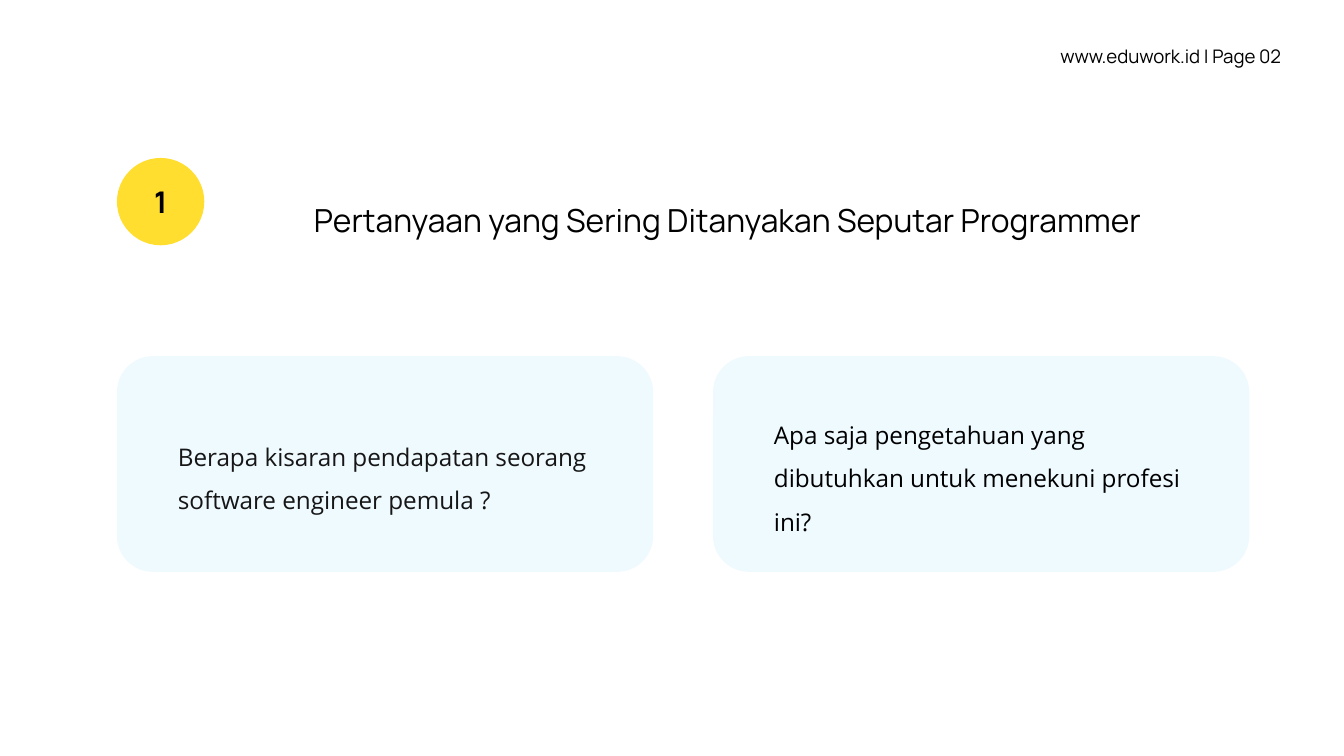
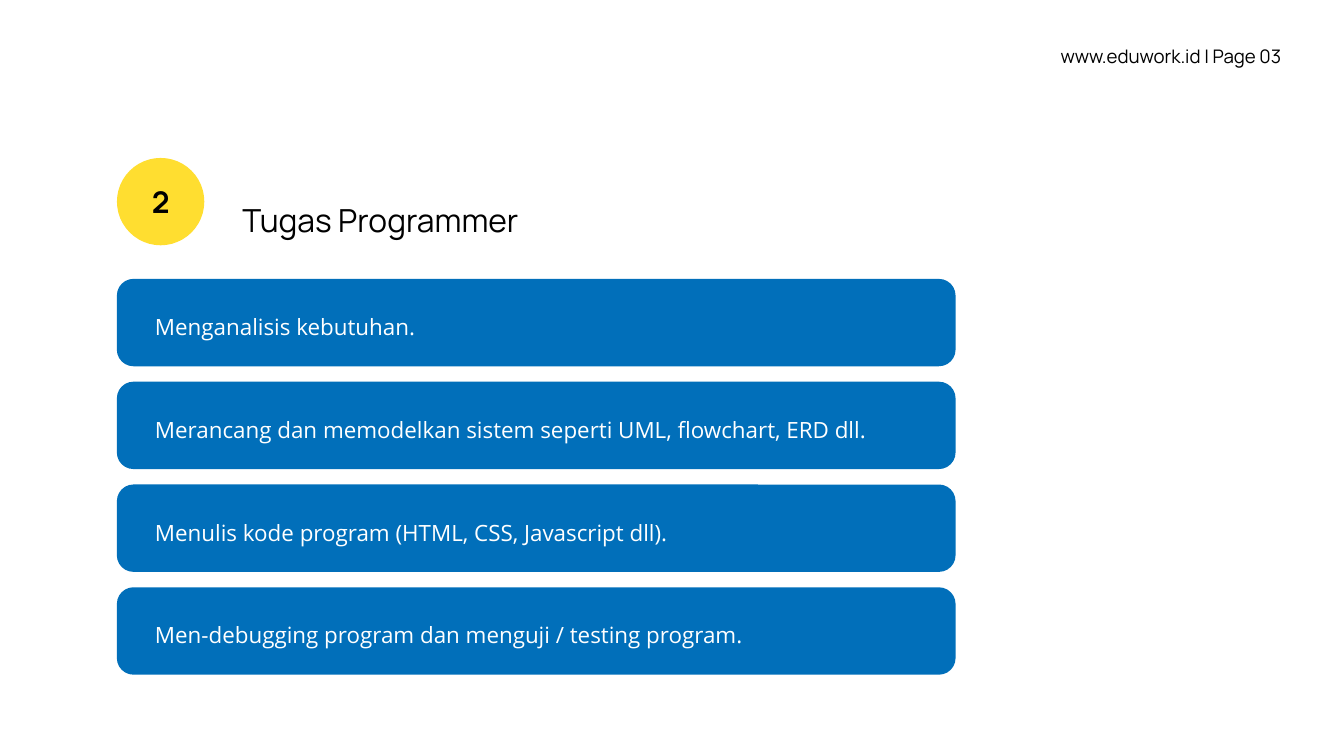
from pptx import Presentation
from pptx.dml.color import RGBColor
from pptx.enum.shapes import MSO_SHAPE
from pptx.enum.text import MSO_ANCHOR, MSO_AUTO_SIZE, PP_ALIGN
from pptx.oxml.ns import qn
from pptx.util import Pt
from lxml import etree

PX = 4572  # 200 px to the inch
COLORS = {"black": "000000", "ink": "161616", "white": "FFFFFF",
          "yellow": "FFDE30", "blue": "016FBA", "pale": "CDEFFF"}
HEAD, BODY = "Manrope", "Open Sans"


def add_shape(s, kind, x, y, w, h, color, radius=None, alpha=None):
    sp = s.shapes.add_shape(kind, x * PX, y * PX, w * PX, h * PX)
    sp.shadow.inherit = False
    sp.line.fill.background()
    sp.fill.solid()
    sp.fill.fore_color.rgb = RGBColor.from_string(COLORS[color])
    if radius is not None:
        sp.adjustments[0] = radius
    if alpha is not None:
        clr = sp.fill._xPr.find(qn("a:solidFill"))[0]
        etree.SubElement(clr, qn("a:alpha")).set("val", str(alpha * 1000))
    return sp


def add_text(sp, text, size, font, color="black", spacing=None,
             align=PP_ALIGN.LEFT, bold=False, grow=True):
    tf = sp.text_frame
    tf.word_wrap = True
    tf.auto_size = MSO_AUTO_SIZE.SHAPE_TO_FIT_TEXT if grow else MSO_AUTO_SIZE.NONE
    tf.margin_left = tf.margin_right = tf.margin_top = tf.margin_bottom = 20 * PX
    p = tf.paragraphs[0]
    p.alignment = align
    if spacing:
        p.line_spacing = spacing
    r = p.add_run()
    r.text = text
    r.font.size = Pt(size)
    r.font.name = font
    r.font.bold = bold
    r.font.color.rgb = RGBColor.from_string(COLORS[color])
    return tf


prs = Presentation()
prs.slide_width, prs.slide_height = 2000 * PX, 1125 * PX

# Shared header: title, page label and numbered circle
titles = [
    ("Pertanyaan yang Sering Ditanyakan Seputar Programmer", 207, 1752, PP_ALIGN.CENTER),
    ("Tugas Programmer", 341, 690, PP_ALIGN.LEFT),
]
slides = []
for n, (title, x, w, align) in enumerate(titles, 1):
    s = prs.slides.add_slide(prs.slide_layouts[6])
    slides.append(s)
    sp = s.shapes.add_textbox(x * PX, 251 * PX, w * PX, 98 * PX)
    add_text(sp, title, 17, HEAD, spacing=1.5, align=align)
    sp = s.shapes.add_textbox(1512 * PX, 50 * PX, 414 * PX, 74 * PX)
    add_text(sp, f"www.eduwork.id | Page {n + 1:02d}", 10, HEAD, align=PP_ALIGN.RIGHT)
    sp = add_shape(s, MSO_SHAPE.OVAL, 174, 235, 130, 130, "yellow")
    tf = add_text(sp, str(n), 16, HEAD, align=PP_ALIGN.CENTER, bold=True, grow=False)
    tf.vertical_anchor = MSO_ANCHOR.MIDDLE

faq, tasks = slides

# Slide 1: two question cards
questions = [
    ("Berapa kisaran pendapatan seorang software engineer pemula ?",
     174, 616, 698, 150, "ink"),
    ("Apa saja pengetahuan yang dibutuhkan untuk menekuni profesi ini?",
     1061, 583, 656, 216, "black"),
]
for text, x, y, w, h, color in questions:
    add_shape(faq, MSO_SHAPE.ROUNDED_RECTANGLE, x, 530, 798, 321, "pale", 0.167, alpha=30)
    sp = faq.shapes.add_textbox((x + 71) * PX, y * PX, w * PX, h * PX)
    add_text(sp, text, 13, BODY, color, spacing=1.5)

# Slide 2: four task bars, equally spaced
duties = [
    ("Menganalisis kebutuhan.", 1066),
    ("Merancang dan memodelkan sistem seperti UML, flowchart, ERD dll.", 1200),
    ("Menulis kode program (HTML, CSS, Javascript dll).", 1200),
    ("Men-debugging program dan menguji / testing program.", 1200),
]
for i, (text, w) in enumerate(duties):
    y = 415 + i * 153
    add_shape(tasks, MSO_SHAPE.ROUNDED_RECTANGLE, 174, y, 1248, 130, "blue", 0.19)
    sp = tasks.shapes.add_textbox(211 * PX, (y + 25) * PX, w * PX, 94 * PX)
    add_text(sp, text, 12, BODY, "white", spacing=1.15, grow=False)

prs.save("out.pptx")
